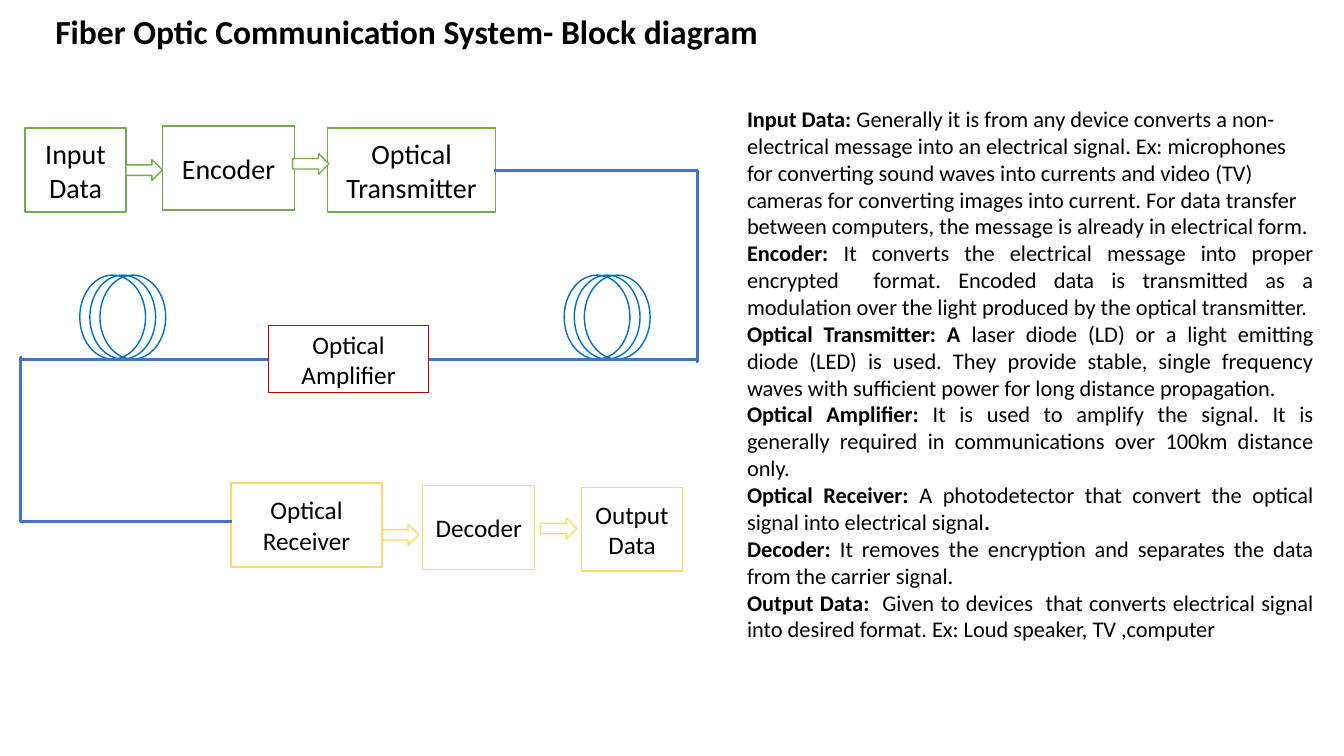
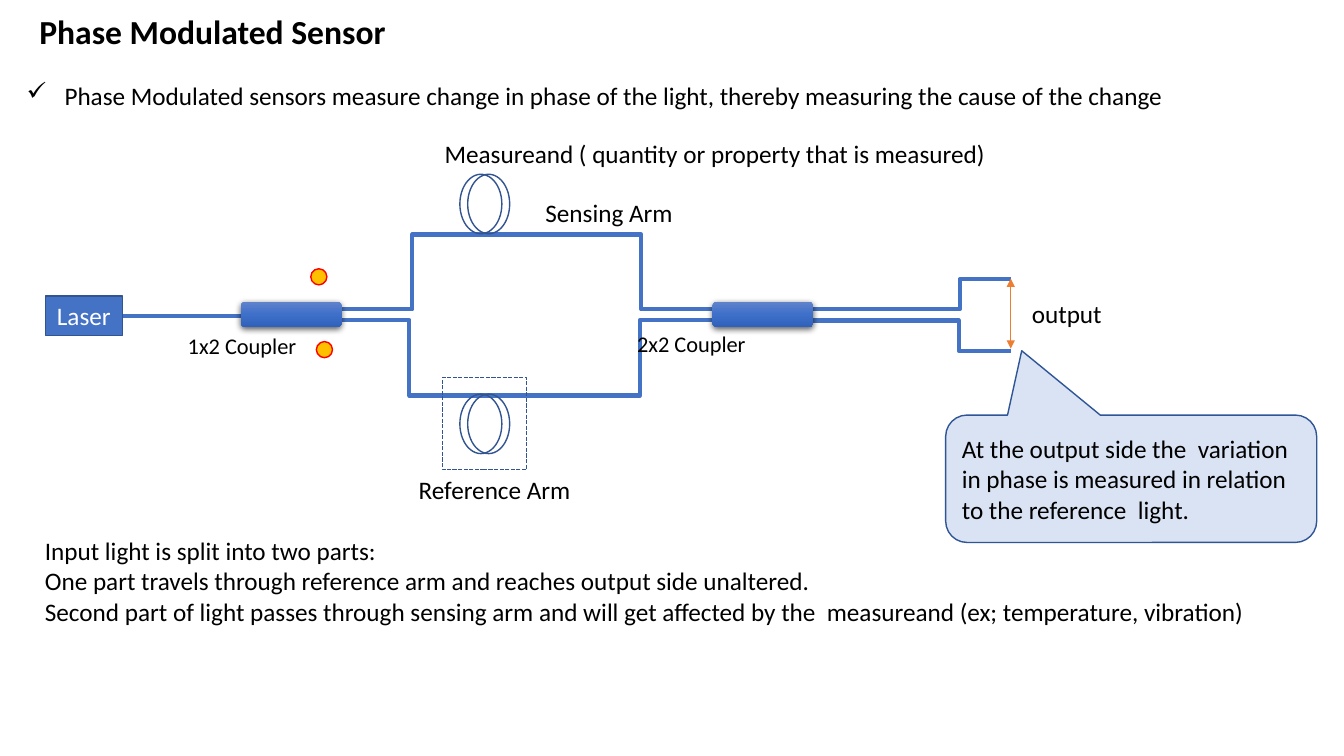
from dataclasses import dataclass

from lxml import etree
from pptx import Presentation
from pptx.dml.color import RGBColor
from pptx.enum.dml import MSO_LINE
from pptx.enum.shapes import MSO_CONNECTOR, MSO_SHAPE
from pptx.enum.text import MSO_ANCHOR, PP_ALIGN
from pptx.oxml.ns import qn
from pptx.util import Pt

RECT = MSO_SHAPE.RECTANGLE
ROUND = MSO_SHAPE.ROUNDED_RECTANGLE
OVAL = MSO_SHAPE.OVAL
ARROW = MSO_SHAPE.RIGHT_ARROW
CALLOUT = MSO_SHAPE.ROUNDED_RECTANGULAR_CALLOUT
STRAIGHT = MSO_CONNECTOR.STRAIGHT
ELBOW = MSO_CONNECTOR.ELBOW
DASH = MSO_LINE.SQUARE_DOT
MIDDLE = MSO_ANCHOR.MIDDLE
TOP = MSO_ANCHOR.TOP
LEFT = PP_ALIGN.LEFT
CENTER = PP_ALIGN.CENTER
JUSTIFY = PP_ALIGN.JUSTIFY


@dataclass(frozen=True)
class Theme:
    font: str = "Calibri"
    head: int = 24
    large: int = 20
    body: int = 18
    small: int = 16
    thin: float = 0.5
    edge: float = 1
    wire: float = 2.25
    thick: float = 3
    black: str = "000000"
    white: str = "FFFFFF"
    green: str = "70AD47"
    yellow: str = "FFD966"
    crimson: str = "C00000"
    red: str = "FF0000"
    amber: str = "FFC000"
    orange: str = "ED7D31"
    blue: str = "4472C4"
    fiber: str = "0070C0"
    navy: str = "325491"
    deep: str = "2F5597"
    pale: str = "DAE3F3"
    blend: tuple = ((0, "6183CB"), (50, "3E70CA"), (100, "3062BB"))


THEME = Theme()


def apply(target, **values):
    for name, value in values.items():
        setattr(target, name, value)


def rgb(code):
    return RGBColor.from_string(code)


def add(parent, tag, **values):
    return etree.SubElement(parent, qn(tag), {k: str(v) for k, v in values.items()})


class Deck:
    def __init__(self, theme):
        self.theme = theme
        self.file = Presentation()
        apply(self.file, slide_width=Pt(960), slide_height=Pt(540))
        self.slide = None

    def start(self, title, left):
        self.slide = self.file.slides.add_slide(self.file.slide_layouts[6])
        self.text((left, 3, 866, 42), [(title,)], size=self.theme.head,
                  anchor=MIDDLE, pitch=0.9)

    def label(self, shape, lines, size, color=None, align=LEFT, anchor=TOP,
              pitch=None, mark=None):
        """Fill a shape with text; a tuple holds runs in turn bold and plain."""
        frame = shape.text_frame
        apply(frame, word_wrap=True, vertical_anchor=anchor)
        for i, line in enumerate(lines):
            para = frame.paragraphs[0] if i == 0 else frame.add_paragraph()
            apply(para, alignment=align, line_spacing=pitch)
            if mark:
                props = para._p.get_or_add_pPr()
                props.set("marL", str(Pt(27)))
                props.set("indent", str(-Pt(27)))
                add(props, "a:buChar", char=mark)
            parts = line if isinstance(line, tuple) else ("", line)
            for j, part in enumerate(parts):
                if part:
                    run = para.add_run()
                    run.text = part
                    apply(run.font, name=self.theme.font, size=Pt(size), bold=j % 2 == 0)
                    run.font.color.rgb = rgb(color or self.theme.black)
        return frame

    def text(self, area, lines, size=THEME.body, **style):
        shape = self.slide.shapes.add_textbox(*map(Pt, area))
        return self.label(shape, lines, size, **style)

    def shape(self, kind, area, fill=None, line=None, dash=None):
        shape = self.slide.shapes.add_shape(kind, *map(Pt, area))
        shape.shadow.inherit = False
        if fill:
            shape.fill.solid()
            shape.fill.fore_color.rgb = rgb(fill)
        else:
            shape.fill.background()
        if line:
            shape.line.color.rgb = rgb(line)
            apply(shape.line, width=Pt(self.theme.edge), dash_style=dash)
        else:
            shape.line.fill.background()
        return shape

    def box(self, area, label, line, size=THEME.body, fill=THEME.white,
            color=THEME.black):
        shape = self.shape(RECT, area, fill, line)
        self.label(shape, [label], size, color, CENTER, MIDDLE)

    def coil(self, left, top, width, height, count, step, line):
        for i in range(count):
            self.shape(OVAL, (left + i * step, top, width, height), line=line)

    def wire(self, start, end, bend=None, color=THEME.blue, width=THEME.wire,
             heads=False):
        """Join two points; bend is the x of the upright part."""
        kind = STRAIGHT if bend is None else ELBOW
        link = self.slide.shapes.add_connector(kind, *map(Pt, start + end))
        link.line.color.rgb = rgb(color)
        link.line.width = Pt(width)
        props = link._element.spPr
        if bend is not None:
            ratio = (bend - start[0]) / (end[0] - start[0])
            guides = props.find(qn("a:prstGeom")).get_or_add_avLst()
            add(guides, "a:gd", name="adj1", fmla=f"val {round(ratio * 100000)}")
        if heads:
            for tag in ("a:headEnd", "a:tailEnd"):
                add(props.find(qn("a:ln")), tag, type="triangle")
        add(props, "a:effectLst")

    def coupler(self, left, top):
        shape = self.shape(ROUND, (left, top, 72, 18))
        shape.fill.gradient()
        shape.fill.gradient_angle = 270
        props = shape._element.spPr
        stops = props.find(".//" + qn("a:gsLst"))
        for stop in list(stops):
            stops.remove(stop)
        for place, code in self.theme.blend:
            add(add(stops, "a:gs", pos=place * 1000), "a:srgbClr", val=code)
        shadow = add(props.find(qn("a:effectLst")), "a:outerShdw", blurRad=Pt(4.5),
                     dist=Pt(1.5), dir=5400000, algn="ctr", rotWithShape=0)
        tone = add(shadow, "a:srgbClr", val=self.theme.black)
        add(tone, "a:alpha", val=63000)


def block_slide(deck):
    t = deck.theme
    deck.start("Fiber Optic Communication System- Block diagram", 32.4)
    for left, top, width, label, line, size in (
        (18, 91.5, 72, "Input Data", t.green, t.large),
        (116, 90, 94.5, "Encoder", t.green, t.large),
        (234, 91.5, 120, "Optical Transmitter", t.green, t.large),
        (165, 345, 108, "Optical Receiver", t.yellow, t.body),
        (302, 347, 80, "Decoder", t.yellow, t.body),
        (415.5, 348, 72, "Output Data", t.yellow, t.body),
    ):
        deck.box((left, top, width, 60), label, line, size)
    for left, top, line in ((90, 114, t.green), (209, 109.5, t.green),
                            (273, 374.5, t.yellow), (386, 370, t.yellow)):
        deck.shape(ARROW, (left, top, 26, 15), t.white, line)
    for left in (57, 403):
        deck.coil(left, 196.5, 47, 60, 3, 7.2, t.fiber)
    deck.wire((15, 257), (497.5, 257))
    deck.box((192, 232.5, 114, 48), "Optical Amplifier", t.crimson)
    deck.wire((353, 121.5), (497, 258.5), 498.5)
    deck.wire((15, 255.5), (166, 372.5), 14.8)
    frame = deck.text((526.5, 71.5, 419, 395), [
        ("Input Data: ", "Generally it is from any device converts a non-electrical message into an electrical signal. Ex: microphones for converting sound waves into currents and video (TV) cameras for converting images into current. For data transfer between computers, the message is already in electrical form."),
        ("Encoder: ", "It converts the electrical message into proper encrypted  format. Encoded data is transmitted as a modulation over the light produced by the optical transmitter."),
        ("Optical Transmitter: A", " laser diode (LD) or a light emitting diode (LED) is used. They provide stable, single frequency waves with sufficient power for long distance propagation."),
        ("Optical Amplifier: ", "It is used to amplify the signal. It is generally required in communications over 100km distance only."),
        ("Optical Receiver: ", "A photodetector that convert the optical signal into electrical signal", "."),
        ("Decoder: ", "It removes the encryption and separates the data from the carrier signal."),
        ("Output Data:  ", "Given to devices  that converts electrical signal into desired format. Ex: Loud speaker, TV ,computer"),
    ], t.small, align=JUSTIFY)
    frame.paragraphs[0].alignment = LEFT


def sensor_slide(deck):
    t = deck.theme
    deck.start("Phase Modulated Sensor", 21)
    note = deck.shape(CALLOUT, (675.5, 296.5, 265, 91), t.pale, t.deep)
    for i, value in enumerate((-0.295, -1.005, 0.167)):
        note.adjustments[i] = value
    deck.label(note, ["At the output side the  variation in phase is measured in relation to the reference  light."],
               t.body, anchor=MIDDLE)
    deck.text((12, 54, 934, 29), ["Phase Modulated sensors measure change in phase of the light, thereby measuring the cause of the change"],
              align=JUSTIFY, mark="✓")
    deck.text((25, 379, 915, 94), [
        "Input light is split into two parts:",
        "One part travels through reference arm and reaches output side unaltered.",
        "Second part of light passes through sensing arm and will get affected by the  measureand (ex; temperature, vibration)",
    ], align=JUSTIFY)
    for start, end, bend in (
        ((87, 225.5), (172, 225.5), None),
        ((346.5, 167.5), (238, 221), 294.5),
        ((238, 228.5), (346.5, 282.5), 292.5),
        ((346.5, 167.5), (569.5, 221), 458),
        ((519, 228.5), (346.5, 282.5), 457),
        ((722, 199.5), (520.5, 221), 685.5),
        ((520.5, 229), (722, 250.5), 685),
    ):
        deck.wire(start, end, bend, width=t.thick)
    for left in (172, 509):
        deck.coupler(left, 215.5)
    for top in (124.5, 281.5):
        deck.coil(328.5, top, 30, 42.5, 2, 5.6, t.navy)
    deck.shape(RECT, (316, 269.5, 60, 66), line=t.navy, dash=DASH)
    deck.box((32.4, 211.5, 55, 28), "Laser", t.navy, fill=t.blue, color=t.white)
    deck.wire((722, 199), (722, 249), color=t.orange, width=t.thin, heads=True)
    for left, top in ((226, 244), (222, 192)):
        deck.shape(OVAL, (left, top, 11.5, 11.5), t.amber, t.red)
    for left, top, width, label, size in (
        (292, 335.5, 132, "Reference Arm", t.body),
        (382.5, 137.5, 132, "Sensing Arm", t.body),
        (730, 209.5, 67, "output", t.body),
        (310.5, 95, 420, "Measureand ( quantity or property that is measured)", t.body),
        (127, 234, 126, "1x2 Coupler", t.small),
        (448, 232.5, 126, "2x2 Coupler", t.small),
    ):
        deck.text((left, top, width, 29), [label], size)


def main():
    deck = Deck(THEME)
    block_slide(deck)
    sensor_slide(deck)
    deck.file.save("out.pptx")


if __name__ == "__main__":
    main()
